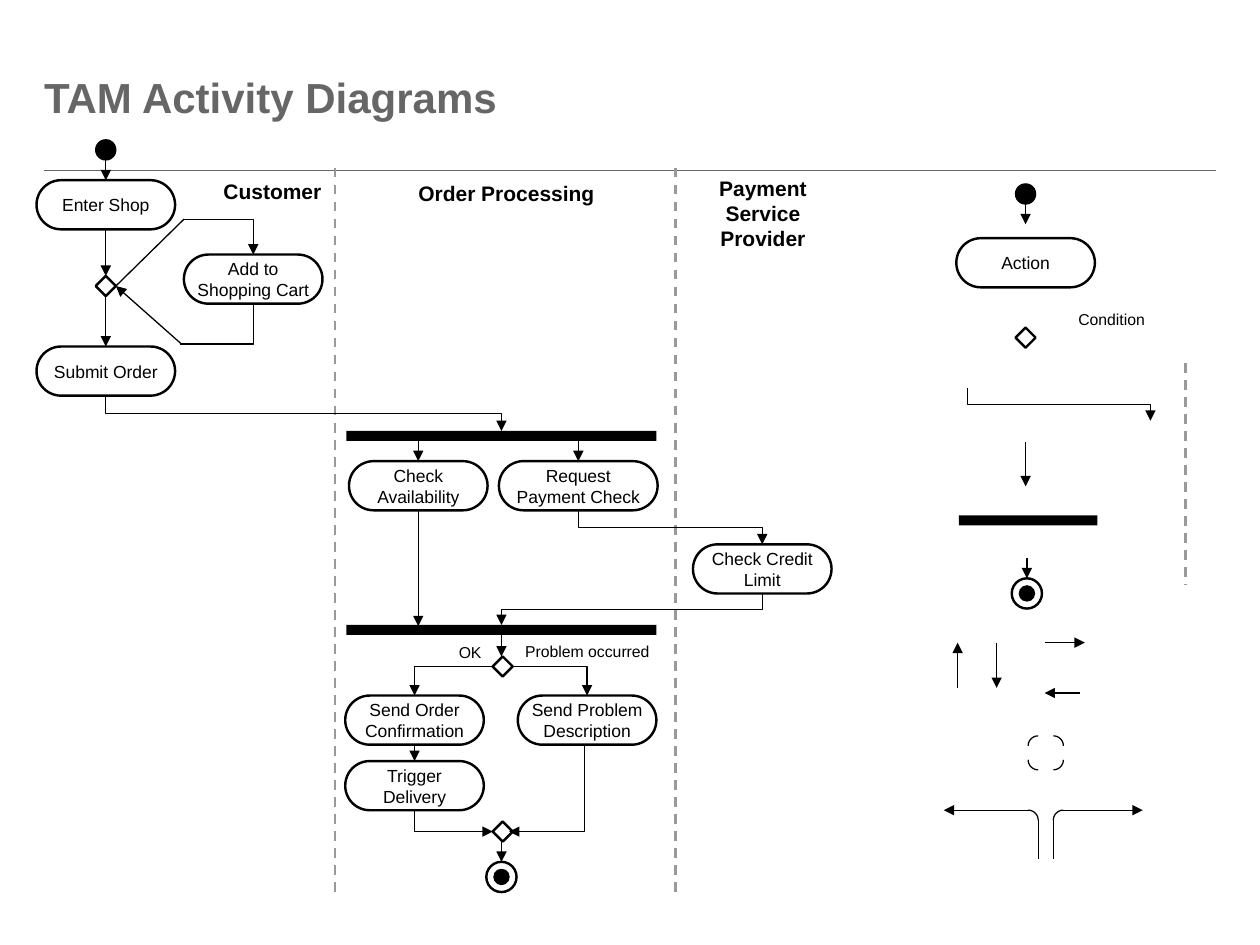
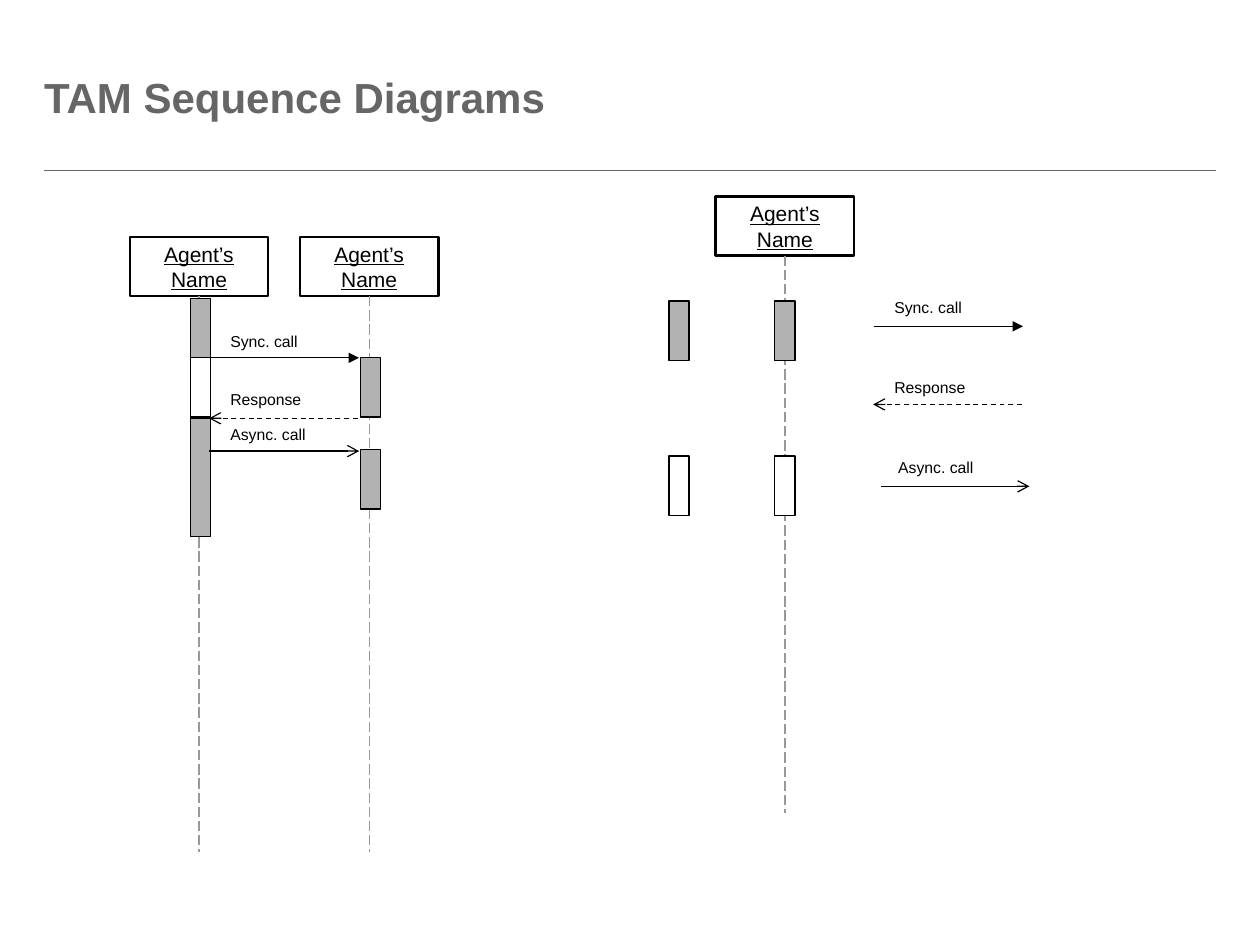
"""Build two slides that explain activity and sequence diagram notation."""
import math

import lxml.etree
import pptx
import pptx.dml.color
import pptx.enum.dml
import pptx.enum.shapes
import pptx.enum.text
import pptx.oxml.ns
import pptx.util

Inches = pptx.util.Inches
Pt = pptx.util.Pt
RGBColor = pptx.dml.color.RGBColor
SHAPE = pptx.enum.shapes.MSO_SHAPE
CONNECTOR = pptx.enum.shapes.MSO_CONNECTOR
DASH = pptx.enum.dml.MSO_LINE
ALIGN = pptx.enum.text.PP_ALIGN
ANCHOR = pptx.enum.text.MSO_ANCHOR
qn = pptx.oxml.ns.qn

BLACK = RGBColor(0x00, 0x00, 0x00)
WHITE = RGBColor(0xFF, 0xFF, 0xFF)
TITLE_GREY = RGBColor(0x66, 0x66, 0x66)
LANE_GREY = RGBColor(0x99, 0x99, 0x99)
ACTIVE_GREY = RGBColor(0xB2, 0xB2, 0xB2)

THIN, MEDIUM, THICK = 0.7, 0.75, 1.4
NODE_WIDTH, NODE_HEIGHT = 1.1, 0.39
AGENT_HEIGHT = 0.47
BAR_WIDTH = 0.16
CORNER_RADIUS = 0.08

TITLE_FONT = {"name": "Arial", "size": Pt(24), "bold": True}
LANE_FONT = {"name": "Arial", "size": Pt(12), "bold": True}
AGENT_FONT = {"name": "Arial", "size": Pt(12), "underline": True}
NODE_FONT = {"name": "Arial", "size": Pt(10)}
LABEL_FONT = {"name": "Arial", "size": Pt(9)}


def set_text(box, text, font, align=ALIGN.LEFT, color=BLACK, anchor=ANCHOR.TOP, inset=None):
    """Write one formatted paragraph into a shape."""
    frame = box.text_frame
    settings = {"word_wrap": True, "vertical_anchor": anchor}
    if inset is not None:
        sides = ("margin_left", "margin_top", "margin_right", "margin_bottom")
        settings.update(dict.fromkeys(sides, Inches(inset)))
    for name, value in settings.items():
        setattr(frame, name, value)
    para = frame.paragraphs[0]
    para.alignment = align
    span = para.add_run()
    span.text = text
    for name, value in font.items():
        setattr(span.font, name, value)
    span.font.color.rgb = color


def add_label(page, text, left, top, width, height=0.25, font=LABEL_FONT, **options):
    """Add a text box."""
    box = page.shapes.add_textbox(*map(Inches, (left, top, width, height)))
    set_text(box, text, font, **options)


def add_figure(page, kind, left, top, width, height, fill=WHITE, weight=THICK):
    """Add a preset shape with a black outline, or none if weight is zero."""
    figure = page.shapes.add_shape(kind, *map(Inches, (left, top, width, height)))
    figure.shadow.inherit = False
    figure.fill.solid()
    figure.fill.fore_color.rgb = fill
    if weight:
        figure.line.color.rgb = BLACK
        figure.line.width = Pt(weight)
    else:
        figure.line.fill.background()
    return figure


def style_connector(connector, color, weight, dash, arrow):
    """Format a connector and put the arrowhead at its end."""
    connector.line.color.rgb = color
    connector.line.width = Pt(weight)
    if dash:
        connector.line.dash_style = dash
    properties = connector.element.spPr
    if arrow:
        outline = properties.find(qn("a:ln"))
        lxml.etree.SubElement(outline, qn("a:tailEnd")).set("type", arrow)
    lxml.etree.SubElement(properties, qn("a:effectLst"))


def add_line(page, start, end, arrow=None, color=BLACK, weight=THIN, dash=None):
    """Add a straight line from start to end."""
    connector = page.shapes.add_connector(CONNECTOR.STRAIGHT, *map(Inches, (*start, *end)))
    style_connector(connector, color, weight, dash, arrow)


def add_elbow(page, start, end, bends, down_first=False, arrow="triangle", weight=THIN):
    """Add an angled line with one or two bends; down_first leaves start downwards."""
    (x1, y1), (x2, y2) = start, end
    turn = 0
    if down_first:
        turn = 270 if x2 > x1 else 90
        middle_x, middle_y = (x1 + x2) / 2, (y1 + y2) / 2
        half_width, half_height = (y2 - y1) / 2, abs(x2 - x1) / 2
        if turn == 270:
            half_width = -half_width
        x1, x2 = middle_x - half_width, middle_x + half_width
        y1, y2 = middle_y - half_height, middle_y + half_height
    connector = page.shapes.add_connector(CONNECTOR.ELBOW, *map(Inches, (x1, y1, x2, y2)))
    connector.rotation = turn
    geometry = connector.element.spPr.find(qn("a:prstGeom"))
    geometry.set("prst", f"bentConnector{bends + 1}")
    style_connector(connector, BLACK, weight, None, arrow)


def add_corner(page, center_x, center_y, start_angle):
    """Add a quarter circle that runs clockwise from start_angle."""
    points = []
    for step in range(11):
        angle = math.radians(start_angle + 9 * step)
        points.append((Inches(center_x + CORNER_RADIUS * math.cos(angle)),
                       Inches(center_y + CORNER_RADIUS * math.sin(angle))))
    builder = page.shapes.build_freeform(*points[0])
    builder.add_line_segments(points[1:], close=False)
    corner = builder.convert_to_shape()
    corner.shadow.inherit = False
    corner.fill.background()
    corner.line.color.rgb = BLACK
    corner.line.width = Pt(THIN)


def add_action(page, text, left, top, width=NODE_WIDTH):
    """Add a rounded action node."""
    node = add_figure(page, SHAPE.ROUNDED_RECTANGLE, left, top, width, NODE_HEIGHT)
    node.adjustments[0] = 0.5
    set_text(node, text, NODE_FONT, ALIGN.CENTER, anchor=ANCHOR.MIDDLE, inset=0.04)


def add_decision(page, left, top):
    """Add a decision diamond."""
    add_figure(page, SHAPE.DIAMOND, left, top, 0.16, 0.16)


def add_sync_bar(page, left, top, width):
    """Add a black fork or join bar."""
    add_figure(page, SHAPE.RECTANGLE, left, top, width, 0.08, BLACK, 0)


def add_start(page, center, top):
    """Add a start dot with its outgoing arrow."""
    add_figure(page, SHAPE.OVAL, center - 0.08, top, 0.16, 0.16, BLACK, MEDIUM)
    add_line(page, (center, top + 0.16), (center, top + 0.32), "triangle")


def add_finish(page, center, top):
    """Add a final ring with its incoming arrow."""
    add_figure(page, SHAPE.OVAL, center - 0.12, top, 0.24, 0.24)
    add_figure(page, SHAPE.OVAL, center - 0.06, top + 0.06, 0.12, 0.12, BLACK, MEDIUM)
    add_line(page, (center, top - 0.16), (center, top), "triangle")


def add_agent(page, left, top, lifeline_end):
    """Add an agent box with its dashed lifeline."""
    agent = add_figure(page, SHAPE.RECTANGLE, left, top, NODE_WIDTH, AGENT_HEIGHT)
    set_text(agent, "Agent’s Name", AGENT_FONT, ALIGN.CENTER, anchor=ANCHOR.MIDDLE, inset=0.04)
    center = left + NODE_WIDTH / 2
    add_line(page, (center, top + AGENT_HEIGHT), (center, lifeline_end),
             color=LANE_GREY, weight=MEDIUM, dash=DASH.LONG_DASH)


def add_activation(page, left, top, fill=ACTIVE_GREY, height=AGENT_HEIGHT):
    """Add an activation bar."""
    add_figure(page, SHAPE.RECTANGLE, left, top, BAR_WIDTH, height, fill, THIN)


def add_message(page, text, label_at, start, end, arrow, dash=None):
    """Add a message arrow and its label."""
    add_line(page, start, end, arrow, dash=dash)
    add_label(page, text, *label_at, 1.07)


def add_page(deck, title):
    """Add a blank page with the shared title and rule."""
    page = deck.slides.add_slide(deck.slide_layouts[6])
    add_line(page, (0.35, 1.35), (9.65, 1.35), color=TITLE_GREY, weight=0.5)
    add_label(page, title, 0.35, 0.35, 9.29, 0.83, TITLE_FONT,
              color=TITLE_GREY, anchor=ANCHOR.MIDDLE, inset=0)
    return page


def draw_order_flow(page):
    """Draw the order process in its three lanes."""
    for x in (2.66, 5.36):
        add_line(page, (x, 1.33), (x, 7.13), color=LANE_GREY, weight=THICK, dash=DASH.DASH)
    for text, left, top, width, height, align in (
            ("Customer", 0.18, 1.37, 2.47, 0.3, ALIGN.RIGHT),
            ("Order Processing", 2.67, 1.38, 2.7, 0.3, ALIGN.CENTER),
            ("Payment Service Provider", 5.38, 1.34, 1.35, 0.71, ALIGN.CENTER)):
        add_label(page, text, left, top, width, height, LANE_FONT, align=align)
    for text, left, top in (
            ("Enter Shop", 0.29, 1.43), ("Add to Shopping Cart", 1.46, 2.02),
            ("Submit Order", 0.29, 2.75), ("Check Availability", 2.77, 3.66),
            ("Check Credit Limit", 5.5, 4.32), ("Send Order Confirmation", 2.74, 5.52),
            ("Trigger Delivery", 2.74, 6.04), ("Send Problem Description", 4.11, 5.52)):
        add_action(page, text, left, top)
    add_action(page, "Request Payment Check", 3.96, 3.66, 1.26)
    for left, top in ((0.76, 2.19), (3.91, 5.21), (3.91, 6.52)):
        add_decision(page, left, top)
    for top in (3.42, 4.96):
        add_sync_bar(page, 2.75, top, 2.46)
    add_start(page, 0.84, 1.11)
    add_finish(page, 3.98, 6.84)
    for x, top, bottom in ((0.84, 1.82, 2.19), (0.84, 2.34, 2.75), (3.32, 3.48, 3.66),
                           (4.59, 3.48, 3.66), (3.32, 4.05, 4.97), (3.98, 5.03, 5.21),
                           (3.29, 5.91, 6.04)):
        add_line(page, (x, top), (x, bottom), "triangle")
    add_line(page, (0.92, 2.27), (1.46, 1.74), weight=MEDIUM)
    add_elbow(page, (1.46, 1.74), (2.01, 2.02), 1, weight=MEDIUM)
    add_elbow(page, (1.43, 2.73), (2.01, 2.41), 1, arrow=None, weight=MEDIUM)
    add_line(page, (1.44, 2.73), (0.92, 2.27), "triangle", weight=MEDIUM)
    for start, end, bends, down_first in (
            ((0.84, 3.14), (3.98, 3.42), 2, True), ((4.59, 4.05), (6.05, 4.32), 2, True),
            ((6.05, 4.71), (3.98, 4.96), 2, True), ((3.91, 5.29), (3.29, 5.52), 1, False),
            ((4.06, 5.29), (4.66, 5.52), 1, False), ((4.64, 5.91), (4.04, 6.6), 1, True),
            ((3.29, 6.43), (3.91, 6.6), 1, True)):
        add_elbow(page, start, end, bends, down_first)
    add_label(page, "Problem occurred", 4.07, 5.04, 1.23)
    add_label(page, "OK", 2.69, 5.05, 1.23, align=ALIGN.RIGHT)


def draw_activity_legend(page):
    """Draw the loose activity diagram elements."""
    add_line(page, (9.41, 2.88), (9.41, 4.64), color=LANE_GREY, weight=THICK, dash=DASH.DASH)
    add_start(page, 8.14, 1.46)
    add_action(page, "Action", 7.59, 1.89)
    add_label(page, "Condition", 8.46, 2.41, 1.1)
    add_decision(page, 8.06, 2.6)
    add_elbow(page, (7.68, 3.08), (9.13, 3.34), 2, True)
    add_sync_bar(page, 7.61, 4.09, NODE_WIDTH)
    add_finish(page, 8.15, 4.59)
    for start, end in (((8.14, 3.51), (8.14, 3.86)), ((7.6, 5.46), (7.6, 5.1)),
                       ((7.91, 5.1), (7.91, 5.46)), ((8.29, 5.1), (8.61, 5.1)),
                       ((8.57, 5.5), (8.29, 5.5)), ((8.16, 6.43), (7.49, 6.43)),
                       ((8.44, 6.43), (9.07, 6.43))):
        add_line(page, start, end, "triangle")
    for x in (8.24, 8.36):
        add_line(page, (x, 6.51), (x, 6.82))
    for x, y, angle in ((8.36, 5.92, 270), (8.24, 5.92, 180), (8.24, 6.03, 90),
                        (8.36, 6.03, 0), (8.16, 6.51, 270), (8.44, 6.51, 180)):
        add_corner(page, x, y, angle)


def draw_call_sequence(page):
    """Draw the exchange between two agents."""
    for left in (1.03, 2.38):
        add_agent(page, left, 1.88, 6.76)
    add_activation(page, 1.51, 2.37)
    add_activation(page, 1.51, 3.32, height=0.94)
    add_activation(page, 1.51, 2.84, WHITE)
    for top in (2.84, 3.57):
        add_activation(page, 2.86, top)
    add_message(page, "Sync. call", (1.73, 2.58), (1.66, 2.84), (2.85, 2.84), "triangle")
    add_message(page, "Response", (1.73, 3.04), (2.84, 3.32), (1.66, 3.32), "arrow", DASH.DASH)
    add_message(page, "Async. call", (1.73, 3.32), (1.66, 3.58), (2.85, 3.58), "arrow")


def draw_sequence_legend(page):
    """Draw the loose sequence diagram elements."""
    add_agent(page, 5.68, 1.56, 6.45)
    for left in (5.31, 6.15):
        add_activation(page, left, 2.39)
        add_activation(page, left, 3.62, WHITE)
    add_message(page, "Sync. call", (7, 2.31), (6.94, 2.59), (8.12, 2.59), "triangle")
    add_message(page, "Response", (7, 2.95), (8.11, 3.21), (6.93, 3.21), "arrow", DASH.DASH)
    add_message(page, "Async. call", (7.03, 3.58), (6.99, 3.86), (8.17, 3.86), "arrow")


def main():
    """Build and save the deck."""
    deck = pptx.Presentation()
    deck.slide_width, deck.slide_height = Inches(10), Inches(7.5)
    activity = add_page(deck, "TAM Activity Diagrams")
    draw_order_flow(activity)
    draw_activity_legend(activity)
    sequence = add_page(deck, "TAM Sequence Diagrams")
    draw_call_sequence(sequence)
    draw_sequence_legend(sequence)
    deck.save("out.pptx")


if __name__ == "__main__":
    main()
